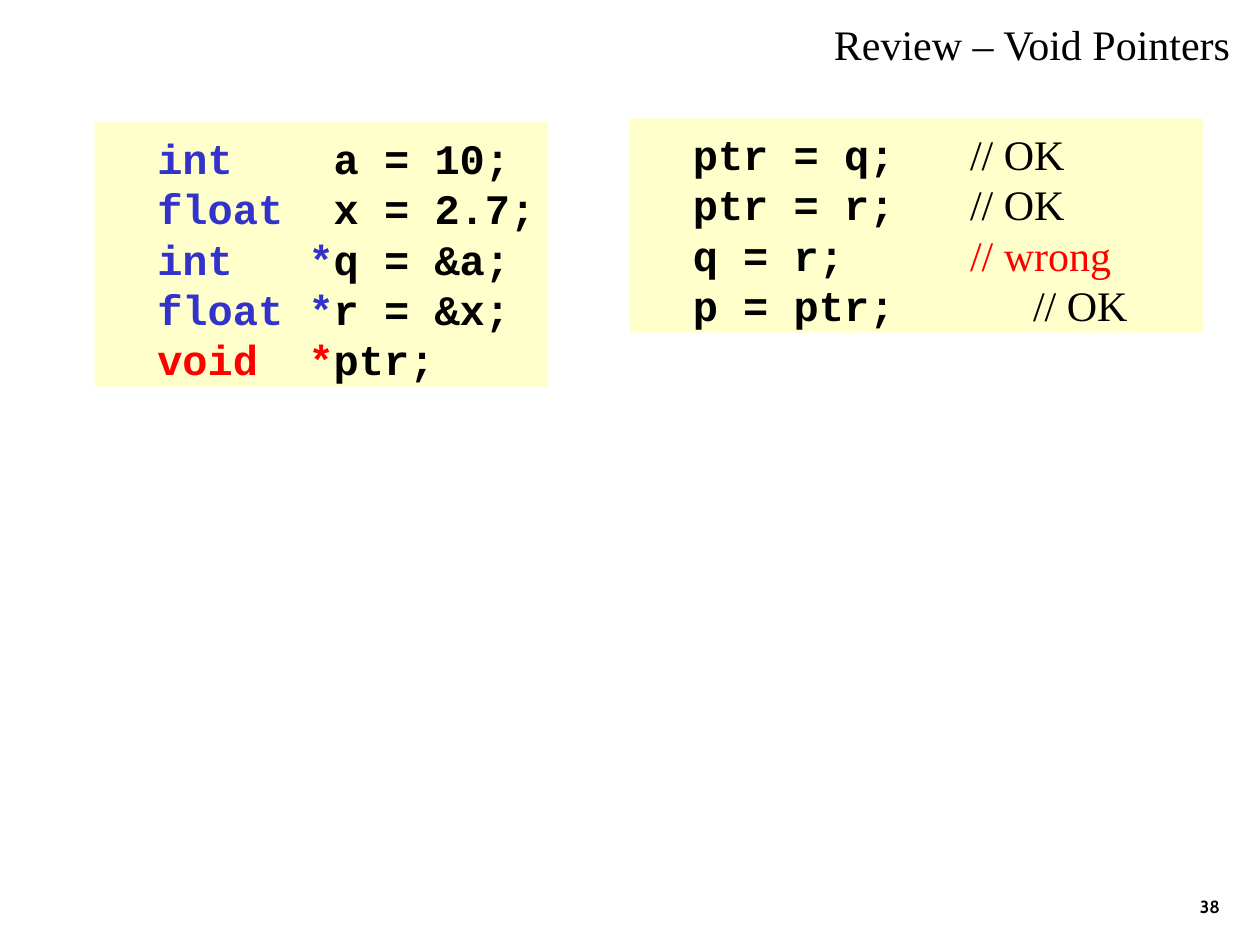
from pptx import Presentation
from pptx import util as u
from pptx.dml.color import RGBColor
from pptx.enum import shapes, text

theme = {
    "ink": "000000", "key": "3333CC", "warn": "FF0000", "panel": "FFFFCC",
    "code": "Courier New", "prose": "Times New Roman", "num": "Cabin",
    "size": 24, "small": 10, "pitch": 28.8,
}

decls = [
    [("  ", "ink"), ("int", "key"), ("    a = 10;", "ink")],
    [("  ", "ink"), ("float", "key"), ("  x = 2.7;", "ink")],
    [("  ", "ink"), ("int   *", "key"), ("q = &a;", "ink")],
    [("  ", "ink"), ("float *", "key"), ("r = &x;", "ink")],
    [("  ", "ink"), ("void  *", "warn"), ("ptr;", "ink")],
]
assigns = [
    ("  ptr = q;   ", "// OK", "ink"),
    ("  ptr = r;   ", "// OK", "ink"),
    ("  q = r;     ", "// wrong", "warn"),
    ("  p = ptr;\t   ", "// OK", "ink"),
]
title = "Review – Void Pointers"
number = "38"


def style(words, hue="ink", face="code", size="size", bold=True):
    return words, hue, face, size, bold


def write(shape, lines, top=0.05, pitch=None, align=text.PP_ALIGN.LEFT,
          anchor=text.MSO_ANCHOR.TOP, right=0):
    frame = shape.text_frame
    look = {
        "word_wrap": True, "auto_size": text.MSO_AUTO_SIZE.NONE,
        "vertical_anchor": anchor, "margin_left": u.Inches(0.1),
        "margin_right": u.Inches(right), "margin_top": u.Inches(top),
        "margin_bottom": u.Inches(0.05),
    }
    for name, value in look.items():
        setattr(frame, name, value)
    for i, line in enumerate(lines):
        para = frame.add_paragraph() if i else frame.paragraphs[0]
        para.alignment = align
        if pitch:
            para.line_spacing = u.Pt(pitch)
        for words, hue, face, size, bold in line:
            run = para.add_run()
            run.text = words
            font = {"name": theme[face], "size": u.Pt(theme[size]), "bold": bold}
            for name, value in font.items():
                setattr(run.font, name, value)
            run.font.color.rgb = RGBColor.from_string(theme[hue])


def panel(slide, left, top, width, lines):
    height = len(lines) * theme["pitch"] / 72 + 0.1
    box = slide.shapes.add_shape(
        shapes.MSO_SHAPE.RECTANGLE, *map(u.Inches, (left, top, width, height)))
    box.shadow.inherit = False
    box.fill.solid()
    box.fill.fore_color.rgb = RGBColor.from_string(theme["panel"])
    box.line.fill.background()
    write(box, lines, top=0.08, pitch=theme["pitch"])


def label(slide, place, run, **look):
    write(slide.shapes.add_textbox(*map(u.Inches, place)), [[run]], **look)


def main():
    deck = Presentation()
    deck.slide_width, deck.slide_height = u.Inches(10), u.Inches(7.5)
    slide = deck.slides.add_slide(deck.slide_layouts[6])
    panel(slide, 5, 0.94, 4.55, [
        [style(code), style(note, hue, "prose", bold=False)]
        for code, note, hue in assigns])
    panel(slide, 0.75, 0.97, 3.6, [
        [style(words, hue) for words, hue in line] for line in decls])
    label(slide, (6.52, 0.08, 3.39, 0.5), style(title, face="prose", bold=False),
          top=0.07, pitch=theme["pitch"])
    label(slide, (7.7, 6.83, 2.08, 0.5), style(number, face="num", size="small"),
          align=text.PP_ALIGN.RIGHT, anchor=text.MSO_ANCHOR.BOTTOM, right=0.1)
    deck.save("out.pptx")


if __name__ == "__main__":
    main()
